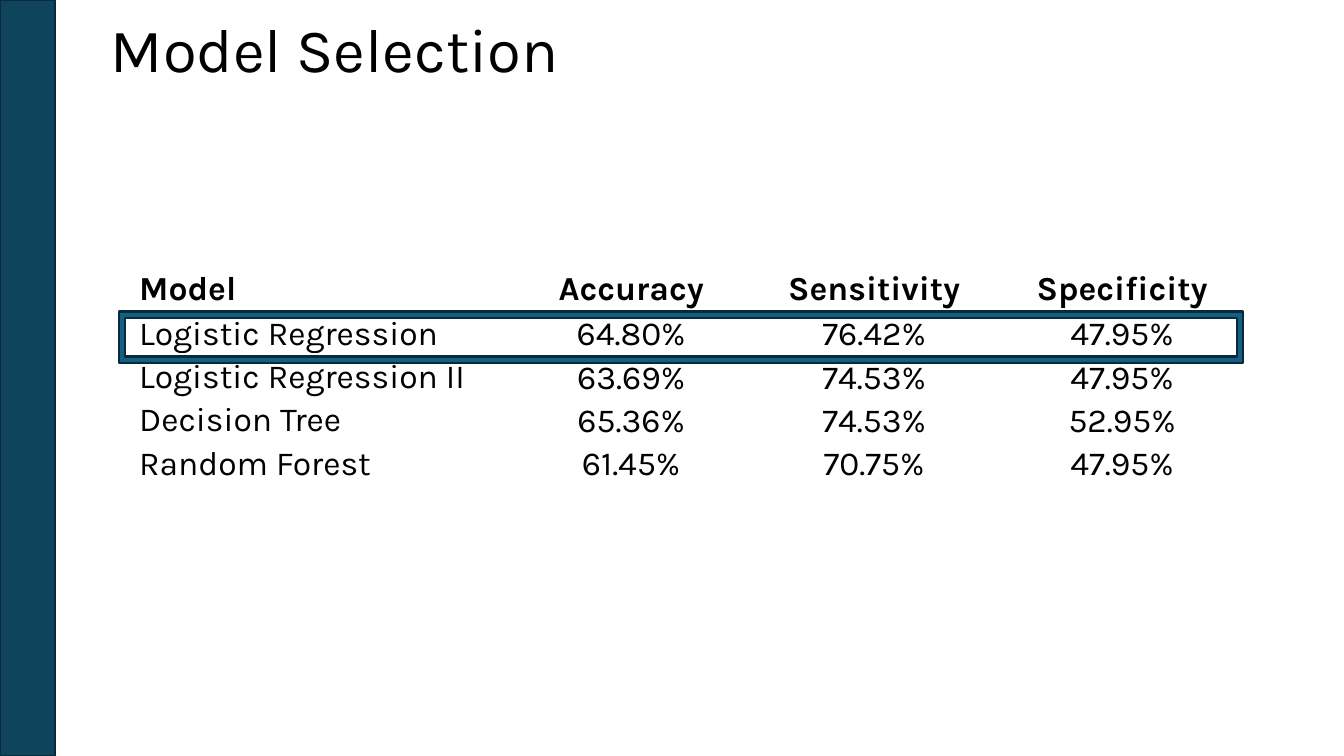
from pptx import Presentation
from pptx.dml.color import RGBColor as RGB
from pptx.enum.shapes import MSO_SHAPE as Shape
from pptx.enum.text import MSO_ANCHOR as Anchor, MSO_AUTO_SIZE as Fit, PP_ALIGN as Align
from pptx.oxml import parse_xml
from pptx.oxml.ns import nsdecls
from pptx.util import Inches, Pt

TITLE = "Model Selection"
ROWS = [
    ("Model", "Accuracy", "Sensitivity", "Specificity"),
    ("Logistic Regression", "64.80%", "76.42%", "47.95%"),
    ("Logistic Regression II", "63.69%", "74.53%", "47.95%"),
    ("Decision Tree", "65.36%", "74.53%", "52.95%"),
    ("Random Forest", "61.45%", "70.75%", "47.95%"),
]
WIDTHS = [3.65, 2.58, 2.24, 2.68]
HEAD_H, ROW_H = 0.47, 0.43
# Cell margins: left, top, right, bottom
HEAD_PAD = (0.06, 0.05, 0.06, 0.03)
NAME_PAD = (0.06, 0.02, 0.06, 0.02)
VALUE_PAD = (0.01, 0.01, 0.01, 0)
FONT = "Karla"
COLORS = {"text": "000000", "rule": "FFFFFF", "frame": "156082",
          "bar": "0F445D", "line": "092A39"}


def color(name):
    return RGB.from_string(COLORS[name])


def style(par, size, bold=False, align=Align.LEFT):
    par.alignment = align
    for run in par.runs:
        font = run.font
        font.name, font.size, font.bold = FONT, Pt(size), bold
        font.color.rgb = color("text")


def add_rule(cell, side):
    """Draw the thick rule between header and body on one side of a cell."""
    rule = parse_xml(
        f'<a:{side} {nsdecls("a")} w="{Pt(4.5)}"><a:solidFill>'
        f'<a:srgbClr val="{COLORS["rule"]}"/></a:solidFill></a:{side}>')
    cell._tc.get_or_add_tcPr().insert(0, rule)


def add_title(slide):
    title = slide.shapes.title
    title.left, title.top = Inches(1), Inches(0.02)
    title.width, title.height = Inches(11.33), Inches(1)
    frame = title.text_frame
    frame.text = TITLE
    frame.auto_size = Fit.NONE
    frame.vertical_anchor = Anchor.MIDDLE
    par = frame.paragraphs[0]
    par.line_spacing = 0.9
    style(par, 44)


def fill_cell(cell, text, row, col):
    cell.text = text
    cell.fill.background()
    cell.vertical_anchor = Anchor.MIDDLE
    pad = HEAD_PAD if row == 0 else VALUE_PAD if col else NAME_PAD
    (cell.margin_left, cell.margin_top,
     cell.margin_right, cell.margin_bottom) = map(Inches, pad)
    style(cell.text_frame.paragraphs[0], 24, row == 0,
          Align.CENTER if col else Align.LEFT)
    if row < 2:
        add_rule(cell, "lnT" if row else "lnB")


def add_scores(slide):
    height = HEAD_H + ROW_H * (len(ROWS) - 1)
    table = slide.shapes.add_table(
        len(ROWS), len(WIDTHS), Inches(1.32), Inches(2.63),
        Inches(sum(WIDTHS)), Inches(height)).table
    table.first_row = table.horz_banding = False
    for col, width in zip(table.columns, WIDTHS):
        col.width = Inches(width)
    for r, texts in enumerate(ROWS):
        table.rows[r].height = Inches(ROW_H if r else HEAD_H)
        for c, text in enumerate(texts):
            fill_cell(table.cell(r, c), text, r, c)


def add_box(slide, kind, box, fill):
    shape = slide.shapes.add_shape(kind, *map(Inches, box))
    shape.shadow.inherit = False
    shape.fill.solid()
    shape.fill.fore_color.rgb = color(fill)
    shape.line.color.rgb = color("line")
    shape.line.width = Pt(1.5)


def main():
    prs = Presentation()
    prs.slide_width, prs.slide_height = Inches(13.33), Inches(7.5)
    slide = prs.slides.add_slide(prs.slide_layouts[5])
    add_title(slide)
    add_scores(slide)
    add_box(slide, Shape.FRAME, (1.18, 3.09, 11.15, 0.51), "frame")
    add_box(slide, Shape.RECTANGLE, (0, 0, 0.55, 7.5), "bar")
    prs.save("out.pptx")


if __name__ == "__main__":
    main()
